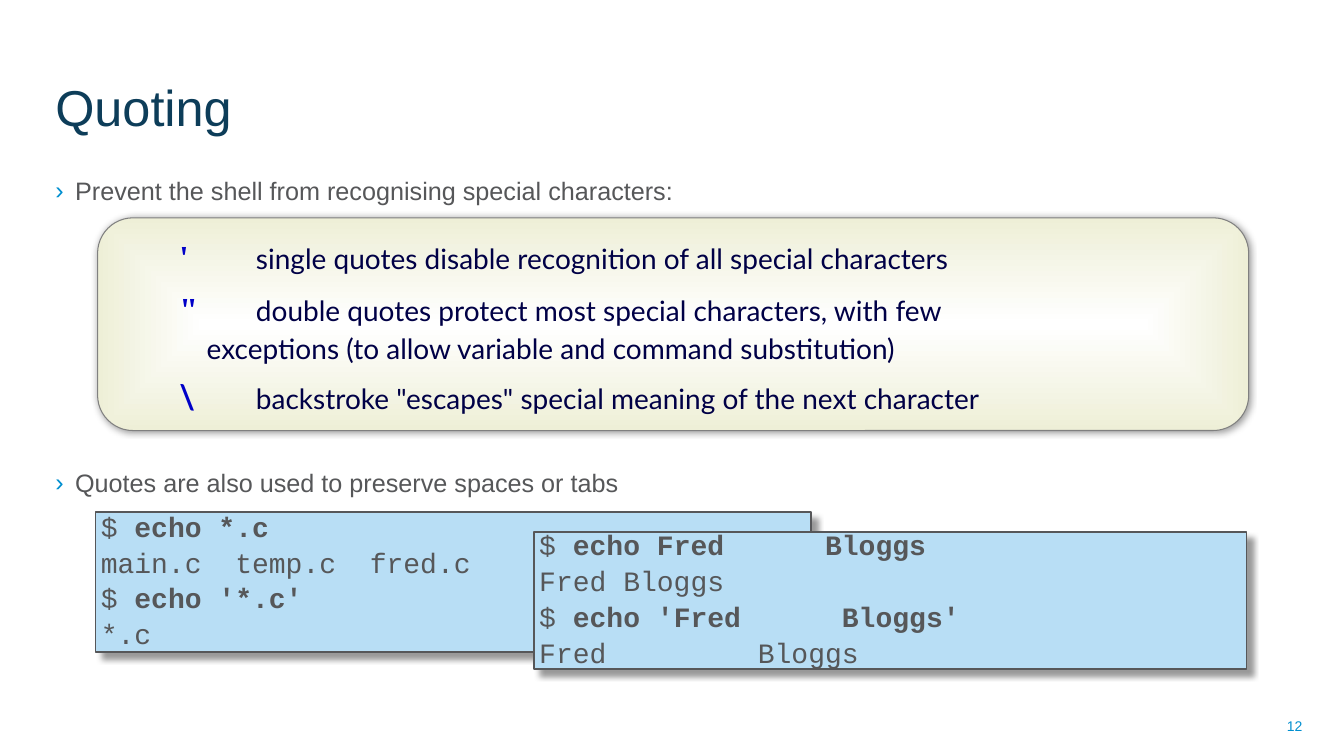
from dataclasses import dataclass

from lxml.etree import SubElement
from pptx import Presentation
from pptx.dml.color import RGBColor
from pptx.enum.shapes import MSO_SHAPE
from pptx.enum.text import MSO_ANCHOR, MSO_AUTO_SIZE, PP_ALIGN
from pptx.oxml.ns import qn
from pptx.util import Cm, Pt


@dataclass(frozen=True)
class Theme:
    title: str = "0D3D59"
    text: str = "565759"
    accent: str = "008FD0"
    code_fill: str = "B8DEF5"
    rule_fill: str = "EEEFD7"
    rule_line: str = "808080"
    rule_text: str = "000046"
    symbol: str = "0000C8"
    white: str = "FFFFFF"
    sans: str = "Arial"
    mono: str = "Courier New"
    rule_font: str = "Lato"
    serif: str = "Times New Roman"
    title_size: int = 36
    symbol_size: int = 24
    code_size: int = 20
    body_size: int = 18
    number_size: int = 10


theme = Theme()


def add_span(para, text, font, size, color, bold=False):
    span = para.add_run()
    span.text = text
    span.font.name = font
    span.font.size = Pt(size)
    span.font.bold = bold
    span.font.color.rgb = RGBColor.from_string(color)


def add_shadow(shape, blur, distance, degrees):
    shape.shadow.inherit = False
    effects = shape._element.spPr.find(qn("a:effectLst"))
    shadow = SubElement(effects, qn("a:outerShdw"), blurRad=str(Pt(blur)),
                        dist=str(Pt(distance)), dir=str(degrees * 60000),
                        algn="ctr", rotWithShape="0")
    black = SubElement(shadow, qn("a:srgbClr"), val="000000")
    SubElement(black, qn("a:alpha"), val="40000")


deck = Presentation()
deck.slide_width, deck.slide_height = Cm(33.87), Cm(19.05)
page = deck.slides.add_slide(deck.slide_layouts[1])

# Title
title = page.shapes.title
title.left, title.top, title.width, title.height = Cm(1.14), Cm(0.36), Cm(25.35), Cm(3.2)
title.text_frame.auto_size = MSO_AUTO_SIZE.NONE
title.text_frame.vertical_anchor = MSO_ANCHOR.BOTTOM
para = title.text_frame.paragraphs[0]
para.alignment = PP_ALIGN.LEFT
add_span(para, "Quoting", theme.sans, theme.title_size, theme.title)

# Bullets, with room for the rules between them
body = page.placeholders[1]
body.left, body.top, body.width, body.height = Cm(1.14), Cm(4.29), Cm(31.67), Cm(12.62)
frame = body.text_frame
frame.auto_size = MSO_AUTO_SIZE.NONE
bullets = [("Prevent the shell from recognising special characters:", 0),
           ("Quotes are also used to preserve spaces or tabs", 177)]
for index, (text, gap) in enumerate(bullets):
    para = frame.add_paragraph() if index else frame.paragraphs[0]
    para.space_before, para.space_after = Pt(gap), Pt(10)
    props = para._p.get_or_add_pPr()
    props.set("marL", str(Cm(0.5)))
    props.set("indent", str(Cm(-0.5)))
    bullet_color = SubElement(props, qn("a:buClr"))
    SubElement(bullet_color, qn("a:srgbClr"), val=theme.accent)
    SubElement(props, qn("a:buFont"), typeface=theme.sans)
    SubElement(props, qn("a:buChar"), char="›")
    add_span(para, text, theme.sans, theme.body_size, theme.text)

# Code boxes: each line is a prompt, a typed command and the shell's output
sessions = [
    ((2.41, 12.9, 18.03, 3.53),
     [("$ ", "echo *.c", ""), ("", "", "main.c  temp.c  fred.c"),
      ("$ ", "echo '*.c'", ""), ("", "", "*.c")]),
    ((13.46, 13.41, 17.96, 3.45),
     [("$ ", "echo Fred      Bloggs", ""), ("", "", "Fred Bloggs"),
      ("$ ", "echo 'Fred      Bloggs'", ""), ("", "", "Fred         Bloggs")]),
]
for place, lines in sessions:
    box = page.shapes.add_shape(MSO_SHAPE.RECTANGLE, *map(Cm, place))
    box.fill.solid()
    box.fill.fore_color.rgb = RGBColor.from_string(theme.code_fill)
    box.line.color.rgb = RGBColor.from_string(theme.text)
    box.line.width = Pt(1)
    add_shadow(box, 4, 6, 45)
    frame = box.text_frame
    frame.word_wrap = True
    frame.vertical_anchor = MSO_ANCHOR.MIDDLE
    frame.margin_left = frame.margin_right = Cm(0.13)
    frame.margin_top = frame.margin_bottom = Cm(0.05)
    for index, (prompt, command, output) in enumerate(lines):
        para = frame.add_paragraph() if index else frame.paragraphs[0]
        para.alignment = PP_ALIGN.LEFT
        para.line_spacing = 0.9
        para.space_before = Pt(4)
        for text, bold in ((prompt, False), (command, True), (output, False)):
            if text:
                add_span(para, text, theme.mono, theme.code_size, theme.text, bold)

# Quoting rules on a panel that fades to white in the middle
panel = page.shapes.add_shape(MSO_SHAPE.FLOWCHART_ALTERNATE_PROCESS,
                              Cm(2.46), Cm(5.49), Cm(29.01), Cm(5.36))
panel.fill.gradient()
for stop, color in zip(panel.fill.gradient_stops, (theme.white, theme.rule_fill)):
    stop.color.rgb = RGBColor.from_string(color)
gradient = panel._element.spPr.find(qn("a:gradFill"))
gradient.remove(gradient.find(qn("a:lin")))
fade = SubElement(gradient, qn("a:path"), path="shape")
SubElement(fade, qn("a:fillToRect"), l="50000", t="50000", r="50000", b="50000")
panel.line.color.rgb = RGBColor.from_string(theme.rule_line)
panel.line.width = Pt(0.75)
add_shadow(panel, 5, 0, 0)
frame = panel.text_frame
frame.word_wrap = True
frame.vertical_anchor = MSO_ANCHOR.MIDDLE
rules = [
    ("'", theme.serif, "single quotes disable recognition of all special characters"),
    ('"', theme.serif, "double quotes protect most special characters, with few"),
    ("", "", "exceptions (to allow variable and command substitution)"),
    ("\\", theme.rule_font, 'backstroke "escapes" special meaning of the next character'),
]
for index, (symbol, font, text) in enumerate(rules):
    para = frame.add_paragraph() if index else frame.paragraphs[0]
    para.alignment = PP_ALIGN.LEFT
    para.line_spacing = 1.1
    para.space_before = Pt(2.5 if symbol else 0)
    para.space_after = Pt(0 if symbol == '"' else 2.5)
    props = para._p.get_or_add_pPr()
    props.set("marL", str(Cm(3.48 if symbol else 2.24)))
    props.set("indent", str(Cm(-1.93 if symbol else 0)))
    if symbol:
        add_span(para, symbol, font, theme.symbol_size, theme.symbol, True)
        text = "\t" + text
    add_span(para, text, theme.rule_font, theme.code_size, theme.rule_text)

# Page number
number = page.shapes.add_textbox(Cm(25.17), Cm(17.78), Cm(7.9), Cm(1.02))
number.text_frame.word_wrap = True
number.text_frame.vertical_anchor = MSO_ANCHOR.MIDDLE
para = number.text_frame.paragraphs[0]
para.alignment = PP_ALIGN.RIGHT
add_span(para, "12", theme.sans, theme.number_size, theme.accent)

deck.save("out.pptx")
